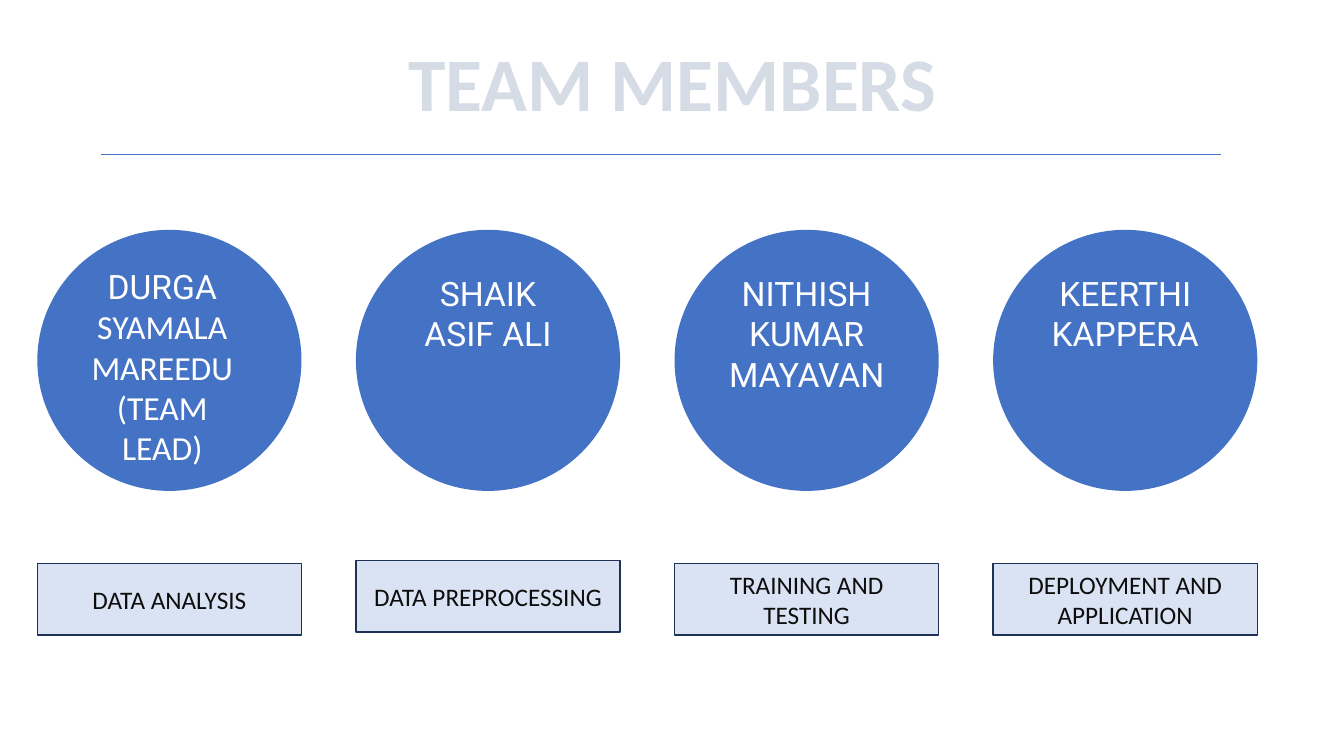
from dataclasses import dataclass

from lxml.etree import SubElement
from pptx import Presentation
from pptx.dml.color import RGBColor
from pptx.enum.shapes import MSO_CONNECTOR, MSO_SHAPE
from pptx.enum.text import MSO_ANCHOR, MSO_AUTO_SIZE, PP_ALIGN
from pptx.oxml.ns import qn
from pptx.shapes.autoshape import Shape
from pptx.slide import Slide
from pptx.text.text import TextFrame
from pptx.util import Inches, Pt

COLORS = {
    "blue": "4472C4",
    "pale": "DAE3F3",
    "navy": "1E3256",
    "title": "D6DCE5",
    "ink": "0D0D0D",
    "white": "FFFFFF",
}
LEFT, PITCH, WIDTH = 0.37, 3.16, 2.62


@dataclass
class Part:
    text: str
    font: str = "Roboto"


@dataclass
class Member:
    name: list[Part]
    role: str
    top: float = 5.59
    lead: bool = False


TEAM = [
    Member([Part("DURGA"), Part(" SYAMALA MAREEDU(TEAM LEAD)", "Calibri")],
           "DATA ANALYSIS", lead=True),
    Member([Part("SHAIK ASIF ALI")], "DATA PREPROCESSING", top=5.56),
    Member([Part("NITHISH KUMAR MAYAVAN")], "TRAINING AND TESTING"),
    Member([Part("KEERTHI KAPPERA")], "DEPLOYMENT AND APPLICATION"),
]


def color(name: str) -> RGBColor:
    return RGBColor.from_string(COLORS[name])


def write(frame: TextFrame, parts: list[Part], size: int, ink: str,
          anchor: MSO_ANCHOR = MSO_ANCHOR.TOP, bold: bool = False,
          wrap: bool = True) -> None:
    frame.auto_size = MSO_AUTO_SIZE.NONE
    frame.word_wrap = wrap
    frame.vertical_anchor = anchor
    line = frame.paragraphs[0]
    line.alignment = PP_ALIGN.CENTER
    for part in parts:
        run = line.add_run()
        run.text = part.text
        run.font.name = part.font
        run.font.size = Pt(size)
        run.font.bold = bold
        run.font.color.rgb = color(ink)


def draw_shape(slide: Slide, kind: MSO_SHAPE, left: float, top: float,
               height: float, fill: str) -> Shape:
    shape = slide.shapes.add_shape(
        kind, Inches(left), Inches(top), Inches(WIDTH), Inches(height))
    shape.shadow.inherit = False
    shape.fill.solid()
    shape.fill.fore_color.rgb = color(fill)
    shape.line.fill.background()
    return shape


def draw_title(slide: Slide) -> None:
    title = slide.shapes.title
    title.left, title.top = Inches(3.92), Inches(0.3)
    title.width, title.height = Inches(5.5), Inches(1.01)
    write(title.text_frame, [Part("TEAM MEMBERS", "Calibri")], 54, "title",
          MSO_ANCHOR.MIDDLE, bold=True, wrap=False)


def draw_rule(slide: Slide) -> None:
    rule = slide.shapes.add_connector(
        MSO_CONNECTOR.STRAIGHT, Inches(1), Inches(1.53),
        Inches(12.11), Inches(1.53))
    rule.line.color.rgb = color("blue")
    rule.line.width = Pt(0.5)
    SubElement(rule.element.spPr, qn("a:effectLst"))


def draw_member(slide: Slide, member: Member, left: float) -> None:
    """Draw the name circle and the role box below it."""
    label = draw_shape(slide, MSO_SHAPE.OVAL, left, 2.28, 2.59, "blue")
    if member.lead:
        label = slide.shapes.add_textbox(
            Inches(0.78), Inches(2.59), Inches(1.66), Inches(2.11))
    write(label.text_frame, member.name, 24, "white")

    role = draw_shape(slide, MSO_SHAPE.RECTANGLE, left, member.top, 0.71, "pale")
    role.line.color.rgb = color("navy")
    role.line.width = Pt(1)
    write(role.text_frame, [Part(member.role, "Calibri")], 18, "ink",
          MSO_ANCHOR.MIDDLE)


def main() -> None:
    deck = Presentation()
    deck.slide_width, deck.slide_height = Inches(13.33), Inches(7.5)
    slide = deck.slides.add_slide(deck.slide_layouts.get_by_name("Title Only"))
    draw_title(slide)
    draw_rule(slide)
    for index, member in enumerate(TEAM):
        draw_member(slide, member, LEFT + index * PITCH)
    deck.save("out.pptx")


if __name__ == "__main__":
    main()
